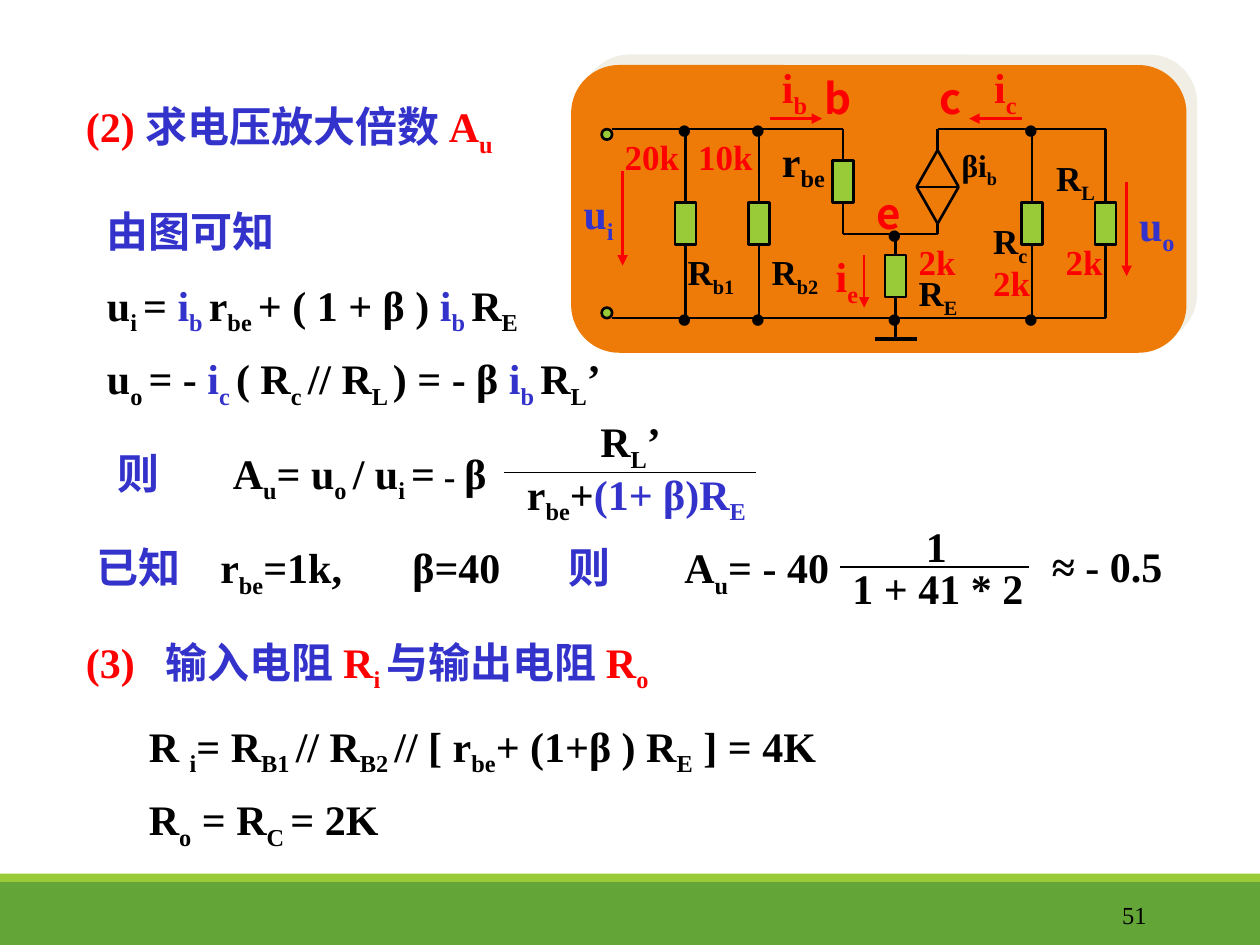
from itertools import groupby

from lxml import etree
from pptx import Presentation
from pptx import util as u
from pptx.dml.color import RGBColor
from pptx.enum import shapes, text
from pptx.oxml import ns

PX = 7620
INK = {"black": "000000", "red": "FF0000", "blue": "3333CC", "green": "99CB38",
       "band": "63A537", "panel": "EE7B08", "shade": "E2DFCC"}
MARKS = {"&": "black", "@": "red", "#": "blue"}
SERIF, SANS = "Times New Roman", "Noto Sans CJK SC"
HEIGHTS = {24: 60, 20: 51, 18: 48, 14: 48}

deck = Presentation()
deck.slide_width, deck.slide_height = 1200 * PX, 900 * PX
slide = deck.slides.add_slide(deck.slide_layouts[6])


def write(markup, x, y, w, size=24, ink="black", font=SERIF, bold=True,
          wrap=True, align="LEFT", anchor="TOP"):
    box = slide.shapes.add_textbox(x * PX, y * PX, w * PX, HEIGHTS[size] * PX)
    frame = box.text_frame
    frame.word_wrap = wrap
    frame.auto_size = text.MSO_AUTO_SIZE.SHAPE_TO_FIT_TEXT
    frame.vertical_anchor = text.MSO_ANCHOR[anchor]
    line = frame.paragraphs[0]
    line.alignment = text.PP_ALIGN[align]
    lowered, small, letters = False, False, []
    for char in markup:
        if char == "_":
            lowered = not lowered
        elif char == "^":
            small = not small
        elif char in MARKS:
            ink = MARKS[char]
        else:
            letters.append((char, (lowered, small, ink)))
    for (lowered, small, ink), group in groupby(letters, key=lambda pair: pair[1]):
        run = line.add_run()
        run.text = "".join(char for char, style in group)
        run.font.size = u.Pt(20 if small else size)
        run.font.bold = bold
        run.font.color.rgb = RGBColor.from_string(INK[ink])
        run.font.name = font
        props = run._r.get_or_add_rPr()
        etree.SubElement(props, ns.qn("a:ea"), typeface=SANS)
        if lowered:
            props.set("baseline", "-25000")


def wire(x1, y1, x2, y2, ink="black", weight=1.5, arrow=False):
    lead = slide.shapes.add_connector(
        shapes.MSO_CONNECTOR.STRAIGHT, x1 * PX, y1 * PX, x2 * PX, y2 * PX)
    lead.line.color.rgb = RGBColor.from_string(INK[ink])
    lead.line.width = u.Pt(weight)
    if arrow:
        etree.SubElement(lead.line._get_or_add_ln(), ns.qn("a:tailEnd"), type="triangle")
    etree.SubElement(lead._element.spPr, ns.qn("a:effectLst"))


TOP, MID, BOTTOM = 123, 223, 303
RB1, RB2, RBE, RE, SOURCE, RC, RL = 653, 723, 803, 853, 893, 983, 1053

for x1, y1, x2, y2 in [
    (583, TOP, RBE, TOP), (583, BOTTOM, RL, BOTTOM), (SOURCE, TOP, RL, TOP),
    (RB1, TOP, RB1, BOTTOM), (RB2, TOP, RB2, BOTTOM), (RC, TOP, RC, BOTTOM),
    (RL, TOP, RL, BOTTOM), (RBE, TOP, RBE, MID), (RBE, MID, SOURCE, MID),
    (RE, MID, RE, 323), (SOURCE, TOP, SOURCE, 143), (SOURCE, 213, SOURCE, MID),
    (SOURCE, 143, 873, 178), (SOURCE, 143, 913, 178), (873, 178, SOURCE, 213),
    (913, 178, SOURCE, 213), (873, 178, 913, 178),
]:
    wire(x1, y1, x2, y2)
wire(833, 323, 873, 323, weight=2.25)

resistors = [("RECTANGLE", middle - 10, y, 20, 40, "green", True)
             for middle, y in [(RB1, 193), (RB2, 193), (RBE, 153),
                               (RE, 243), (RC, 193), (RL, 193)]]
terminals = [("OVAL", 573, y, 10, 10, "green", True) for y in (123, 293)]
backdrop = [("RECTANGLE", 0, 840, 1200, 60, "band", False),
            ("RECTANGLE", 0, 832, 1200, 8, "green", False),
            ("ROUNDED_RECTANGLE", 544, 62, 586, 274, "panel", False)]
tree = slide.shapes._spTree
first_wire = tree[2]
for kind, x, y, w, h, fill, outlined in backdrop + resistors + terminals:
    part = slide.shapes.add_shape(
        shapes.MSO_SHAPE[kind], x * PX, y * PX, w * PX, h * PX)
    part.shadow.inherit = False
    part.fill.solid()
    part.fill.fore_color.rgb = RGBColor.from_string(INK[fill])
    if outlined:
        part.line.color.rgb = RGBColor.from_string(INK["black"])
        part.line.width = u.Pt(1.5)
    else:
        part.line.fill.background()
        first_wire.addprevious(part._element)
    if fill == "panel":
        effects = part._element.spPr.find(ns.qn("a:effectLst"))
        shade = etree.SubElement(effects, ns.qn("a:outerShdw"), dist="107950",
                                 dir="18900000", algn="ctr", rotWithShape="0")
        tint = etree.SubElement(shade, ns.qn("a:srgbClr"), val=INK["shade"])
        etree.SubElement(tint, ns.qn("a:alpha"), val="50000")

for x1, y1, x2, y2 in [(593, 163, 593, 253), (1073, 173, 1073, 263),
                       (733, 113, 783, 113), (823, 243, 823, 293),
                       (973, 113, 923, 113)]:
    wire(x1, y1, x2, y2, ink="red", arrow=True)
wire(480, 450, 720, 450, weight=1)
wire(800, 540, 980, 540, weight=1)

for markup, x, y, w in [
    ("@(2) #求电压放大倍数 @A_u_", 70, 90, 500),
    ("#由图可知", 90, 190, 220),
    ("u_i _= #i_b _&r_be _+ ( 1 + β )# i_b _&R_E_", 90, 260, 460),
    ("u_o _= - #i_c _&( R_c _// R_L _) = - β #i_b _&R_L_’", 90, 330, 580),
    ("#则", 100, 420, 70),
    ("A_u_= u_o _/ u_i _=^ - ^β", 210, 420, 300),
    ("#已知", 80, 510, 200),
    ("r_be_=1k,", 198, 510, 170),
    ("β=40", 381, 510, 130),
    ("A_u_= - 40", 640, 510, 180),
    ("1", 870, 490, 70),
    ("@(3)", 70, 600, 76),
    ("#输入电阻 @R_i _#与输出电阻 @R_o_", 146, 600, 584),
    ("R _i_= R_B1 _// R_B2 _// [ r_be_+ (1+β ) R_E_ ] = 4K", 130, 680, 770),
    ("R_o_ = R_C _= 2K", 130, 750, 280),
    ("r_be_", 733, 123, 70),
]:
    write(markup, x, y, w)

for markup, x, y, w in [
    ("R_L_’", 560, 390, 84), ("r_be_+#(1+ β)R_E_", 490, 440, 258),
    ("#则", 530, 510, 65), ("1 + 41 * 2", 800, 530, 187),
    ("≈ - 0.5", 990, 509, 130), ("#u_i_", 544, 173, 54),
    ("#u_o_", 1073, 184, 60), ("@i_b_", 733, 53, 50),
    ("@i_e_", 784, 233, 47), ("@i_c_", 935, 53, 47),
]:
    write(markup, x, y, w, wrap=False)

for markup, x, y, w in [
    ("R_b1_", 643, 233, 71), ("R_b2_", 723, 233, 71), ("R_c_", 934, 203, 58),
    ("R_L_", 994, 143, 62), ("R_E_", 863, 253, 62), ("@2k", 1003, 223, 59),
    ("@2k", 934, 243, 59), ("@2k", 863, 223, 59), ("@20k", 583, 123, 76),
    ("@10k", 653, 123, 76),
]:
    write(markup, x, y, w, size=20, wrap=False)

write("βi_b_", 904, 133, 90, size=18)
for node, x, y in [("b", 773, 63), ("c", 883, 63), ("e", 823, 173)]:
    write(node, x, y, 60, ink="red", font=SANS)

for x, y in [(RB1, TOP), (RB2, TOP), (RC, TOP), (RB1, BOTTOM), (RB2, BOTTOM),
             (RC, BOTTOM), (RE, BOTTOM), (RE, MID)]:
    write("•", x - 20, y - 30, 38, wrap=False, align="CENTER")

write("51", 974, 847, 130, size=14, bold=False, align="RIGHT", anchor="MIDDLE")

deck.save("out.pptx")
